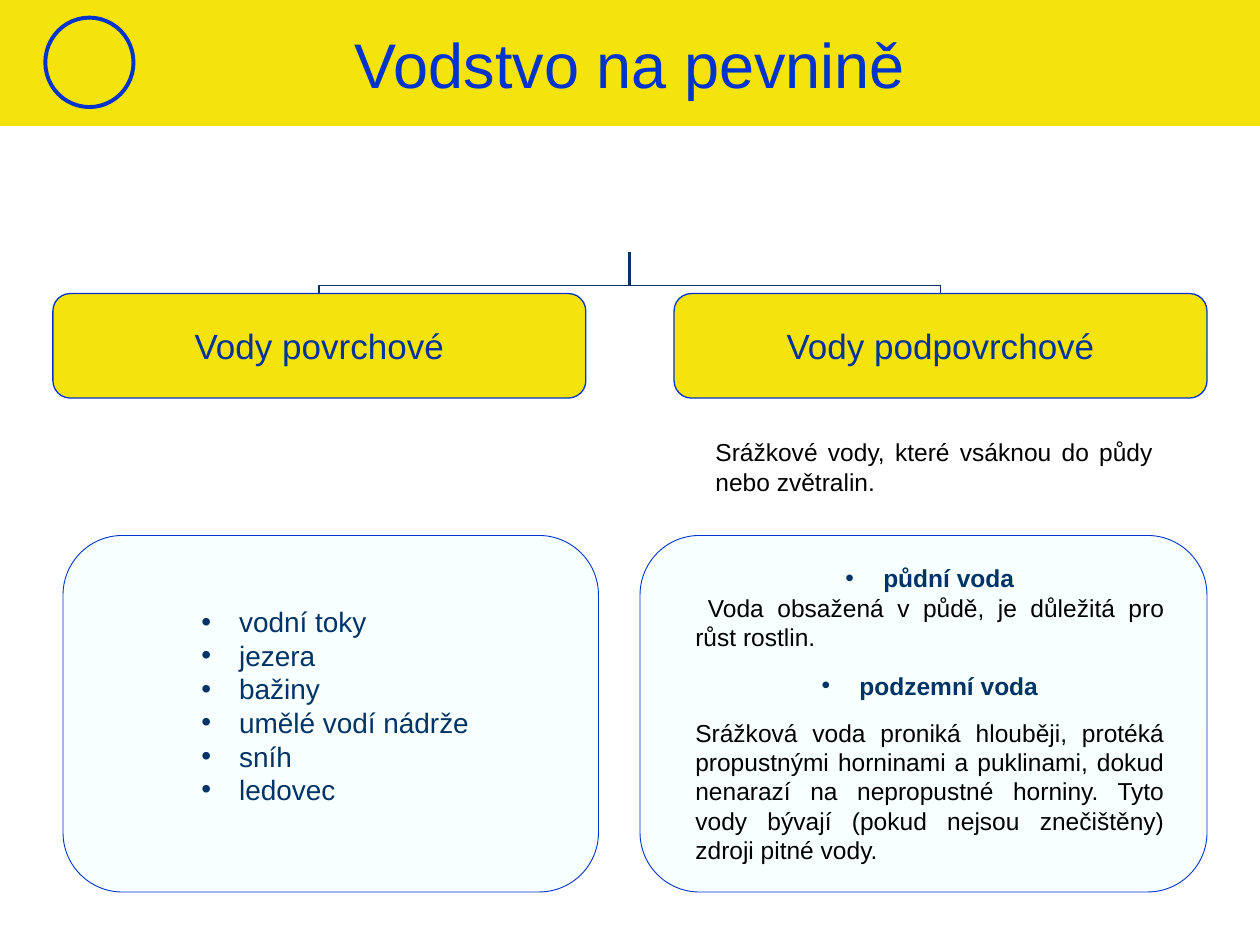
from pptx import Presentation
from pptx.dml.color import RGBColor
from pptx.enum.shapes import MSO_CONNECTOR, MSO_SHAPE
from pptx.enum.text import MSO_ANCHOR, PP_ALIGN
from pptx.oxml.ns import qn
from pptx.util import Inches, Pt
from lxml.etree import SubElement

YELLOW = RGBColor(0xF4, 0xE3, 0x0C)
BLUE = RGBColor(0x00, 0x33, 0xCC)
NAVY = RGBColor(0x00, 0x33, 0x99)
TEAL = RGBColor(0x00, 0x33, 0x66)
PALE = RGBColor(0xF7, 0xFF, 0xFF)
WHITE = RGBColor(0xFF, 0xFF, 0xFF)
BLACK = RGBColor(0x00, 0x00, 0x00)
FONT = "Arial"
LEFT, MIDDLE, BOTH = PP_ALIGN.LEFT, PP_ALIGN.CENTER, PP_ALIGN.JUSTIFY


def add_box(slide, kind, area, fill, line=None, weight=0.75):
    shape = slide.shapes.add_shape(kind, *map(Inches, area))
    shape.shadow.inherit = False
    if fill is None:
        shape.fill.background()
    else:
        shape.fill.solid()
        shape.fill.fore_color.rgb = fill
    if line is None:
        shape.line.fill.background()
    else:
        shape.line.color.rgb = line
        shape.line.width = Pt(weight)
    return shape


def add_text(para, text, size, color, align, bold=False, before=0):
    para.alignment = align
    para.space_before = Pt(before)
    run = para.add_run()
    run.text = text
    font = run.font
    font.name, font.size, font.bold = FONT, Pt(size), bold
    font.color.rgb = color


def indent(para, margin, first):
    props = para._p.get_or_add_pPr()
    props.set("marL", str(Inches(margin)))
    props.set("indent", str(Inches(first)))
    return props


def add_bullet(para):
    props = indent(para, 0.3, -0.3)
    color = SubElement(props, qn("a:buClr"))
    SubElement(color, qn("a:srgbClr"), val=str(TEAL))
    SubElement(props, qn("a:buFont"), typeface=FONT)
    SubElement(props, qn("a:buChar"), char="•")


def add_label(slide, area, text, size, color, line=None):
    kind = MSO_SHAPE.ROUNDED_RECTANGLE if line else MSO_SHAPE.RECTANGLE
    frame = add_box(slide, kind, area, YELLOW, line).text_frame
    frame.vertical_anchor = MSO_ANCHOR.MIDDLE
    add_text(frame.paragraphs[0], text, size, color, MIDDLE)


def next_para(frame, index):
    return frame.add_paragraph() if index else frame.paragraphs[0]


def add_branch(slide, area, turn, flips):
    left, top, width, height = map(Inches, area)
    link = slide.shapes.add_connector(
        MSO_CONNECTOR.ELBOW, left, top, left + width, top + height)
    link.line.color.rgb = TEAL
    link.line.width = Pt(1)
    props = link._element.spPr
    props.xfrm.set("rot", str(turn * 60000))
    for flip in flips:
        props.xfrm.set(flip, "1")
    guides = props.find(qn("a:prstGeom")).find(qn("a:avLst"))
    SubElement(guides, qn("a:gd"), name="adj1", fmla="val 16600")
    SubElement(props, qn("a:effectLst"))


def add_list(slide):
    shape = add_box(slide, MSO_SHAPE.RECTANGLE, (1.5, 4.75, 2.17, 1.71), PALE)
    frame = shape.text_frame
    frame.word_wrap = False
    frame.vertical_anchor = MSO_ANCHOR.TOP
    items = ("vodní toky", "jezera", "bažiny", "umělé vodí nádrže", "sníh", "ledovec")
    for index, item in enumerate(items):
        para = next_para(frame, index)
        add_bullet(para)
        add_text(para, item, 16, TEAL, LEFT)


def add_notes(slide, area, items):
    frame = slide.shapes.add_textbox(*map(Inches, area)).text_frame
    frame.word_wrap = True
    for index, (text, head, first, before) in enumerate(items):
        para = next_para(frame, index)
        if head:
            add_bullet(para)
            add_text(para, text, 14, TEAL, MIDDLE, True, before)
        else:
            indent(para, 0, first)
            add_text(para, text, 14, BLACK, BOTH, False, before)


def main():
    deck = Presentation()
    deck.slide_width, deck.slide_height = Inches(10), Inches(7.5)
    slide = deck.slides.add_slide(deck.slide_layouts[6])

    add_branch(slide, (6.02, 0.89, 0.42, 2.47), 270, ["flipV"])
    add_branch(slide, (3.56, 0.89, 0.42, 2.47), 90, ["flipH", "flipV"])
    for left, text in ((0.42, "Vody povrchové"), (5.35, "Vody podpovrchové")):
        add_label(slide, (left, 2.33, 4.23, 0.83), text, 20, NAVY, BLUE)

    for left, width in ((0.5, 4.25), (5.08, 4.5)):
        area = (left, 4.25, width, 2.83)
        add_box(slide, MSO_SHAPE.ROUNDED_RECTANGLE, area, PALE, BLUE, 0.5)
    add_list(slide)
    add_notes(slide, (5.42, 4.42, 3.92, 2.5), (
        ("půdní voda", True, 0, 0),
        ("Voda obsažená v půdě, je důležitá pro růst rostlin.", False, 0.1, 0),
        ("podzemní voda", True, 0, 11),
        ("Srážková voda proniká hlouběji, protéká propustnými horninami a "
         "puklinami, dokud nenarazí na nepropustné horniny. Tyto vody bývají "
         "(pokud nejsou znečištěny) zdroji pitné vody.", False, 0, 10),
    ))
    add_notes(slide, (5.58, 3.42, 3.67, 0.57), (
        ("Srážkové vody, které vsáknou do půdy nebo zvětralin.", False, 0, 0),
    ))

    add_box(slide, MSO_SHAPE.RECTANGLE, (2, 1, 6.75, 1), WHITE)
    add_label(slide, (0, 0, 10, 1), "Vodstvo na pevnině", 36, BLUE)
    add_box(slide, MSO_SHAPE.OVAL, (0.36, 0.14, 0.7, 0.71), None, BLUE, 2.25)
    deck.save("out.pptx")


if __name__ == "__main__":
    main()
